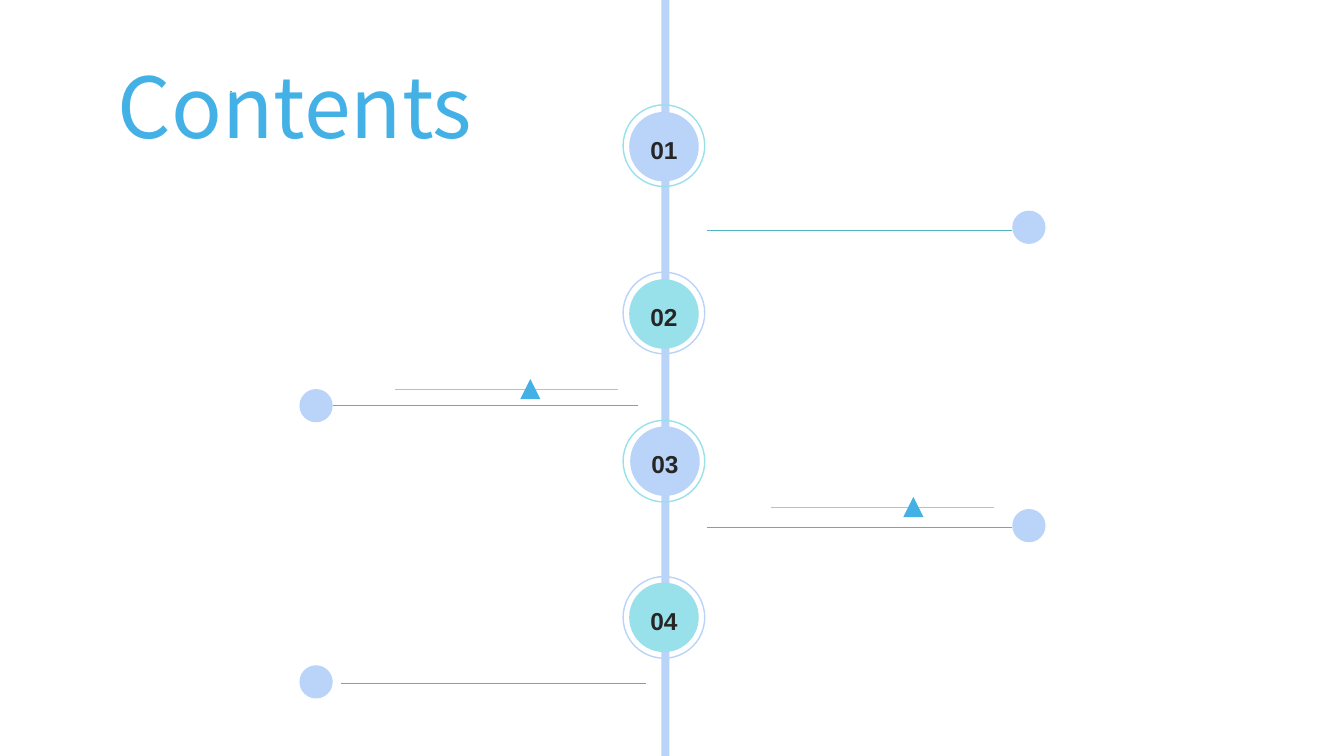
from lxml import etree
from pptx import Presentation
from pptx.dml.color import RGBColor
from pptx.enum.shapes import MSO_CONNECTOR, MSO_SHAPE
from pptx.enum.text import MSO_ANCHOR, PP_ALIGN
from pptx.oxml.ns import qn
from pptx.util import Inches, Pt

RECTANGLE = MSO_SHAPE.RECTANGLE
OVAL = MSO_SHAPE.OVAL
TRIANGLE = MSO_SHAPE.ISOSCELES_TRIANGLE
STRAIGHT = MSO_CONNECTOR.STRAIGHT
CURVE = MSO_CONNECTOR.CURVE
LEFT, CENTER = PP_ALIGN.LEFT, PP_ALIGN.CENTER
TOP, MIDDLE = MSO_ANCHOR.TOP, MSO_ANCHOR.MIDDLE

PERIWINKLE = "B9D3F9"
AQUA = "98E1EA"
SKY = "43B1E5"
PALE_SKY = "8FCDEE"
TEAL = "53B4BF"
BLUE = "6096E6"
INK = "262626"


def color(value):
    return RGBColor.from_string(value)


class TimelineSlide:
    title_font = "Noto Sans CJK JP"
    number_font = "Arial"

    def __init__(self, deck):
        self.slide = deck.slides.add_slide(deck.slide_layouts[5])

    def format_text(self, frame, text, size, font, ink, align, anchor, bold=False):
        frame.text = text
        frame.vertical_anchor = anchor
        para = frame.paragraphs[0]
        para.alignment = align
        span = para.runs[0]
        span.font.size = Pt(size)
        span.font.name = font
        span.font.bold = bold
        span.font.color.rgb = color(ink)
        east_asian = etree.SubElement(span.font._element, qn("a:ea"))
        east_asian.set("typeface", font)
        return para

    def title(self, text, left, top, width, height):
        box = self.slide.shapes.title
        box.left, box.top = Inches(left), Inches(top)
        box.width, box.height = Inches(width), Inches(height)
        box.text_frame.word_wrap = True
        self.format_text(box.text_frame, text, 60, self.title_font, SKY, LEFT, TOP)

    def shape(self, kind, left, top, width, height, fill=None, outline=None):
        shape = self.slide.shapes.add_shape(
            kind, Inches(left), Inches(top), Inches(width), Inches(height))
        shape.shadow.inherit = False
        if fill:
            shape.fill.solid()
            shape.fill.fore_color.rgb = color(fill)
        else:
            shape.fill.background()
        if outline:
            shape.line.color.rgb = color(outline)
            shape.line.width = Pt(1)
        else:
            shape.line.fill.background()
        return shape

    def line(self, left, top, right, stroke, kind=STRAIGHT):
        line = self.slide.shapes.add_connector(
            kind, Inches(left), Inches(top), Inches(right), Inches(top))
        line.line.color.rgb = color(stroke)
        line.line.width = Pt(0.5)
        etree.SubElement(line._element.spPr, qn("a:effectLst"))

    def milestone(self, number, left, top, ring_top, fill, ring):
        disc = self.shape(OVAL, left, top, 0.69, 0.69, fill)
        para = self.format_text(disc.text_frame, number, 17.5, self.number_font,
                                INK, CENTER, MIDDLE, True)
        para.line_spacing = 1.2
        self.shape(OVAL, 6.18, ring_top, 0.81, 0.81, outline=ring)

    def branch(self, dot_left, dot_top, line_left, line_top):
        self.shape(OVAL, dot_left, dot_top, 0.33, 0.33, PERIWINKLE)
        self.line(line_left, line_top, line_left + 3.03, TEAL)

    def marker(self, line_left, line_top, triangle_left):
        self.line(line_left, line_top, line_left + 2.21, PALE_SKY)
        self.shape(TRIANGLE, triangle_left, line_top - 0.1, 0.2, 0.2, SKY)


def main():
    deck = Presentation()
    deck.slide_width, deck.slide_height = Inches(13.33), Inches(7.5)
    page = TimelineSlide(deck)

    page.shape(RECTANGLE, 6.56, 0, 0.08, 7.5, PERIWINKLE)
    page.title("Contents", 1.07, 0.49, 4.09, 1.11)

    for number, left, top, ring_top, fill, ring in (
        ("01", 6.24, 1.11, 1.04, PERIWINKLE, AQUA),
        ("02", 6.24, 2.77, 2.7, AQUA, PERIWINKLE),
        ("03", 6.25, 4.23, 4.17, PERIWINKLE, AQUA),
        ("04", 6.24, 5.78, 5.72, AQUA, PERIWINKLE),
    ):
        page.milestone(number, left, top, ring_top, fill, ring)

    for dot_left, dot_top, line_left, line_top in (
        (10.04, 2.09, 7.01, 2.29),
        (2.97, 3.86, 3.3, 4.02),
        (10.04, 5.05, 7.01, 5.23),
        (2.97, 6.6, 3.38, 6.78),
    ):
        page.branch(dot_left, dot_top, line_left, line_top)

    page.marker(3.92, 3.86, 5.16)
    page.marker(7.65, 5.03, 8.96)
    page.line(2.3, 0.91, 2.28, BLUE, CURVE)

    deck.save("out.pptx")


if __name__ == "__main__":
    main()
